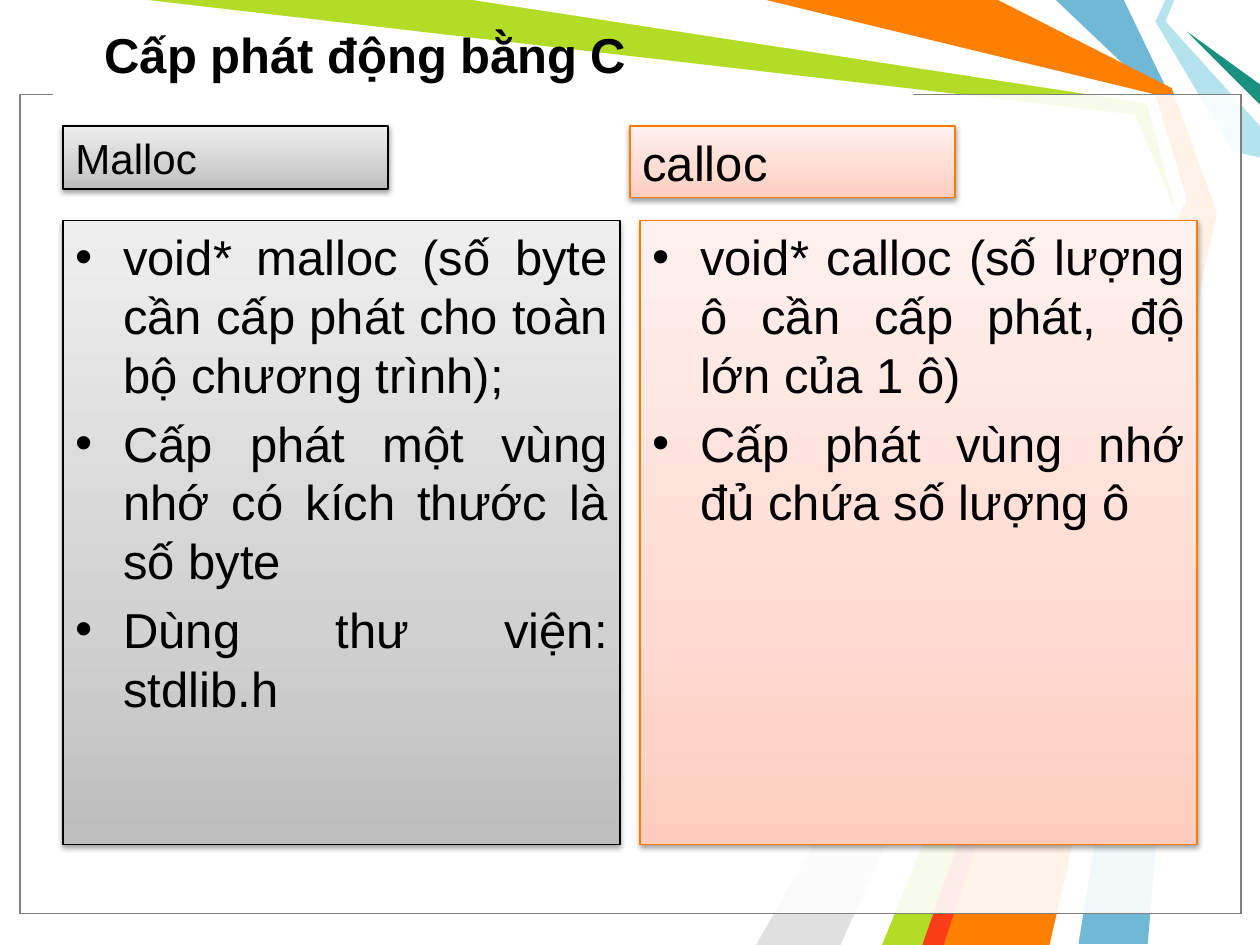
import pptx
import pptx.dml.color
import pptx.enum.shapes
import pptx.enum.text
import pptx.oxml
import pptx.oxml.ns
import pptx.util

Inches = pptx.util.Inches
Pt = pptx.util.Pt
RGBColor = pptx.dml.color.RGBColor
RECTANGLE = pptx.enum.shapes.MSO_SHAPE.RECTANGLE
ALIGN = pptx.enum.text.PP_ALIGN
ANCHOR = pptx.enum.text.MSO_ANCHOR
NAMESPACE = pptx.oxml.ns.nsdecls("a")

COLORS = {
    "black": "000000", "white": "FFFFFF", "frame": "808080",
    "blue": "6FB9D7", "green": "B3DC27", "silver": "E0E0E0",
    "sky": "B4E3EE", "teal": "189180", "orange": "FF7F00",
    "red": "F93D17", "border": "F97C00",
    "gray_dark": "BDBDBD", "gray_mid": "D1D1D1", "gray_light": "EEEEEE",
    "peach_dark": "FFCCBD", "peach_mid": "FFDBD1", "peach_light": "FFF1EE",
}


def write_text(shape, paragraphs, size=28, bold=False, align=ALIGN.LEFT,
               anchor=ANCHOR.TOP, bullets=False):
    frame = shape.text_frame
    frame.word_wrap = True
    frame.vertical_anchor = anchor
    frame.text = "\n".join(paragraphs)
    for paragraph in frame.paragraphs:
        paragraph.alignment = align
        font = paragraph.runs[0].font
        font.name = "Arial"
        font.size = Pt(size)
        font.bold = bold
        font.color.rgb = RGBColor.from_string(COLORS["black"])
        if bullets:
            paragraph.space_before = Pt(0.2 * size)
            properties = paragraph._p.get_or_add_pPr()
            properties.set("marL", str(Inches(0.38)))
            properties.set("indent", str(-Inches(0.38)))
            properties.append(pptx.oxml.parse_xml(
                f'<a:buFont {NAMESPACE} typeface="Arial"/>'))
            properties.append(pptx.oxml.parse_xml(
                f'<a:buChar {NAMESPACE} char="•"/>'))


def add_panel(slide, left, top, width, height, tone, line):
    shape = slide.shapes.add_shape(
        RECTANGLE, Inches(left), Inches(top), Inches(width), Inches(height))
    shape.fill.background()
    shape.line.color.rgb = RGBColor.from_string(COLORS[line])
    shape.line.width = Pt(0.75)
    stops = "".join(
        f'<a:gs pos="{position}"><a:srgbClr val="{COLORS[tone + shade]}"/></a:gs>'
        for position, shade in ((0, "_dark"), (35000, "_mid"), (100000, "_light")))
    properties = shape._element.spPr
    properties.replace(
        properties.find(pptx.oxml.ns.qn("a:noFill")),
        pptx.oxml.parse_xml(
            f'<a:gradFill {NAMESPACE} rotWithShape="1"><a:gsLst>{stops}</a:gsLst>'
            '<a:lin ang="16200000" scaled="1"/></a:gradFill>'))
    properties.append(pptx.oxml.parse_xml(
        f'<a:effectLst {NAMESPACE}><a:outerShdw blurRad="{Pt(3.1)}" dist="{Pt(1.6)}" '
        f'dir="5400000" rotWithShape="0"><a:srgbClr val="{COLORS["black"]}">'
        '<a:alpha val="38000"/></a:srgbClr></a:outerShdw></a:effectLst>'))
    return shape


presentation = pptx.Presentation()
presentation.slide_width = Inches(10)
presentation.slide_height = Inches(7.5)
slide = presentation.slides.add_slide(presentation.slide_layouts[5])

ribbons = [
    ("blue", [(8.92, 0), (9.29, 0.77), (9.58, 1.67), (9.11, 7.49), (8.56, 7.49),
              (9.5, 1.67), (9.17, 0.75), (8.38, 0)]),
    ("green", [(1.17, 0), (3.83, 0), (9.14, 0.78), (9.42, 1.69), (7.42, 7.5),
               (6.92, 7.5), (9.35, 1.73), (9.01, 0.91)]),
    ("silver", [(6.67, 7.5), (9.27, 1.81), (6, 7.5)]),
    ("white", [(3.75, 0), (9.1, 0.82), (9.32, 1.62), (6.75, 7.5), (7, 7.5),
               (9.41, 1.58), (9.17, 0.75), (6, 0)]),
    ("sky", [(9.25, 0), (9.17, 0.17), (9.78, 1.2), (10, 1.25), (10, 1),
             (9.25, 0.17), (9.32, 0)]),
    ("teal", [(10, 0.83), (9.42, 0.25), (10, 0.67)]),
    ("orange", [(6.08, 0), (7.92, 0), (9.3, 0.7), (9.66, 1.69), (8.33, 7.5),
                (7.33, 7.5), (9.42, 1.58), (9.17, 0.75)]),
    ("red", [(7.32, 7.5), (9.32, 1.83), (7.49, 7.5)]),
]
for color, points in ribbons:
    corners = [(Inches(x), Inches(y)) for x, y in points]
    builder = slide.shapes.build_freeform(*corners[0])
    builder.add_line_segments(corners[1:], close=True)
    ribbon = builder.convert_to_shape()
    ribbon.shadow.inherit = False
    ribbon.fill.solid()
    ribbon.fill.fore_color.rgb = RGBColor.from_string(COLORS[color])
    ribbon.line.fill.background()

for left, top, width, height, line, opacity in [
    (0.16, 0.75, 9.69, 6.5, "black", 69),
    (0.16, 0.75, 9.69, 6.5, "frame", 69),
    (0.42, 0.74, 6.83, 0.17, None, 100),
]:
    veil = slide.shapes.add_shape(
        RECTANGLE, Inches(left), Inches(top), Inches(width), Inches(height))
    veil.shadow.inherit = False
    veil.fill.solid()
    veil.fill.fore_color.rgb = RGBColor.from_string(COLORS["white"])
    veil_color = veil._element.spPr.find(".//" + pptx.oxml.ns.qn("a:srgbClr"))
    veil_color.append(pptx.oxml.parse_xml(
        f'<a:alpha {NAMESPACE} val="{opacity * 1000}"/>'))
    if line:
        veil.line.color.rgb = RGBColor.from_string(COLORS[line])
        veil.line.width = Pt(0.75)
    else:
        veil.line.fill.background()

title = slide.shapes.title
title.left, title.top = Inches(0.73), Inches(0.08)
title.width, title.height = Inches(8.86), Inches(0.69)
write_text(title, ["Cấp phát động bằng C"], bold=True, anchor=ANCHOR.MIDDLE)
slide.shapes._spTree.append(title._element)

columns = [
    ("Malloc", 24, 0.5, 0.5, 0.5, "gray", "black", [
        "void* malloc (số byte cần cấp phát cho toàn bộ chương trình);",
        "Cấp phát một vùng nhớ có kích thước là số byte",
        "Dùng thư viện: stdlib.h"]),
    ("calloc", 28, 5, 0.57, 5.08, "peach", "border", [
        "void* calloc (số lượng ô cần cấp phát, độ lớn của 1 ô)",
        "Cấp phát vùng nhớ đủ chứa số lượng ô"]),
]
for name, size, label_left, label_height, body_left, tone, line, points in columns:
    body = add_panel(slide, body_left, 1.75, 4.42, 4.95, tone, line)
    write_text(body, points, align=ALIGN.JUSTIFY, bullets=True)
    label = add_panel(slide, label_left, 1, 2.58, label_height, tone, line)
    write_text(label, [name], size=size)

presentation.save("out.pptx")
